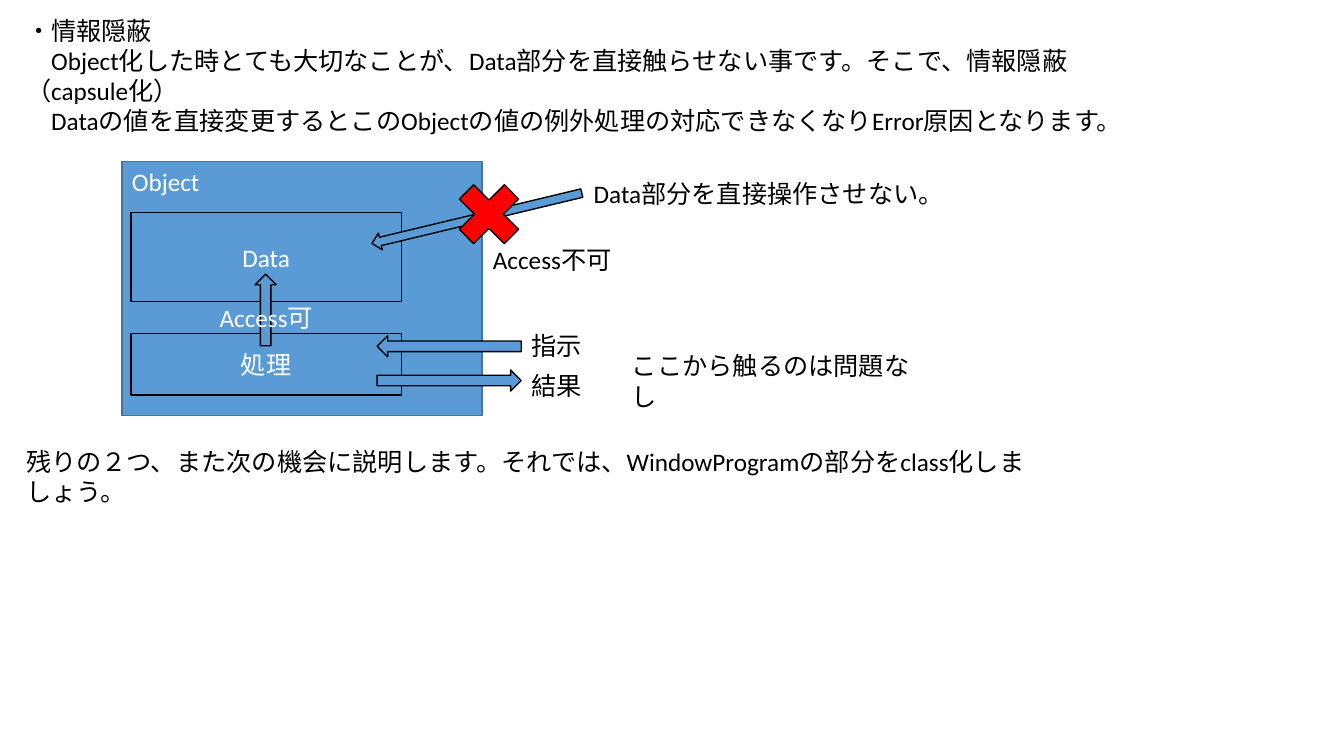
from pptx import Presentation
from pptx.dml.color import RGBColor
from pptx.enum.shapes import MSO_SHAPE
from pptx.enum.text import MSO_ANCHOR, MSO_AUTO_SIZE, PP_ALIGN
from pptx.util import Inches, Pt

RECTANGLE = MSO_SHAPE.RECTANGLE
RIGHT_ARROW = MSO_SHAPE.RIGHT_ARROW
CROSS = MSO_SHAPE.MATH_MULTIPLY
MIDDLE = MSO_ANCHOR.MIDDLE
CENTER = PP_ALIGN.CENTER
GROW = MSO_AUTO_SIZE.SHAPE_TO_FIT_TEXT
BLANK_LAYOUT = 6

COLORS = {
    "blue": "5B9BD5",
    "blue_edge": "43739E",
    "red": "FF0000",
    "black": "000000",
    "white": "FFFFFF",
}


def color(name):
    return RGBColor.from_string(COLORS[name])


def add_text_run(paragraph, text, ink):
    run = paragraph.add_run()
    run.text = text
    run.font.name = "Calibri"
    run.font.size = Pt(18)
    run.font.color.rgb = color(ink)


def add_label(slide, left, top, width, lines, ink="black", height=0.4):
    label = slide.shapes.add_textbox(
        Inches(left), Inches(top), Inches(width), Inches(height))
    frame = label.text_frame
    frame.word_wrap = True
    frame.auto_size = GROW
    for index, line in enumerate(lines):
        paragraph = frame.add_paragraph() if index else frame.paragraphs[0]
        add_text_run(paragraph, line, ink)


def add_figure(slide, kind, left, top, width, height, fill="blue", edge="black", rotation=0):
    figure = slide.shapes.add_shape(
        kind, Inches(left), Inches(top), Inches(width), Inches(height))
    figure.shadow.inherit = False
    figure.fill.solid()
    figure.fill.fore_color.rgb = color(fill)
    figure.line.color.rgb = color(edge)
    figure.line.width = Pt(1)
    figure.rotation = rotation
    return figure


def add_member(slide, top, height, text):
    member = add_figure(slide, RECTANGLE, 1.3, top, 2.68, height)
    member.text_frame.vertical_anchor = MIDDLE
    paragraph = member.text_frame.paragraphs[0]
    paragraph.alignment = CENTER
    add_text_run(paragraph, text, "white")


def add_message(slide, arrow_top, label_top, text, rotation):
    add_figure(slide, RIGHT_ARROW, 3.74, arrow_top, 1.43, 0.21, rotation=rotation)
    add_label(slide, 5.17, label_top, 0.71, [text])


def main():
    prs = Presentation()
    prs.slide_width = Inches(13.33)
    prs.slide_height = Inches(7.5)
    slide = prs.slides.add_slide(prs.slide_layouts[BLANK_LAYOUT])

    add_label(slide, 0.16, 0.1, 11.04, [
        "・情報隠蔽",
        "　Object化した時とても大切なことが、Data部分を直接触らせない事です。そこで、情報隠蔽（capsule化）",
        "　Dataの値を直接変更するとこのObjectの値の例外処理の対応できなくなりError原因となります。",
    ], height=1.01)

    add_figure(slide, RECTANGLE, 1.21, 1.6, 3.57, 2.52, edge="blue_edge")
    add_label(slide, 1.21, 1.6, 1.36, ["Object"], "white")
    add_member(slide, 2.11, 0.88, "Data")
    add_member(slide, 3.31, 0.61, "処理")

    add_message(slide, 3.33, 3.23, "指示", 180)
    add_message(slide, 3.67, 3.62, "結果", 0)

    add_figure(slide, RIGHT_ARROW, 3.66, 2.08, 2.14, 0.17, rotation=166.5)
    add_label(slide, 6.17, 3.43, 2.96, ["ここから触るのは問題なし"])
    add_figure(slide, CROSS, 4.42, 1.7, 0.86, 0.85, fill="red")
    add_label(slide, 5.79, 1.72, 3.49, ["Data部分を直接操作させない。"])

    add_figure(slide, RIGHT_ARROW, 2.28, 2.97, 0.71, 0.21, rotation=270)
    add_label(slide, 2.08, 2.95, 1.36, ["Access可"], "white")
    add_label(slide, 4.79, 2.37, 1.74, ["Access不可"])

    add_label(slide, 0.16, 4.38, 10.23, [
        "残りの２つ、また次の機会に説明します。それでは、WindowProgramの部分をclass化しましょう。",
    ])

    prs.save("out.pptx")


if __name__ == "__main__":
    main()
